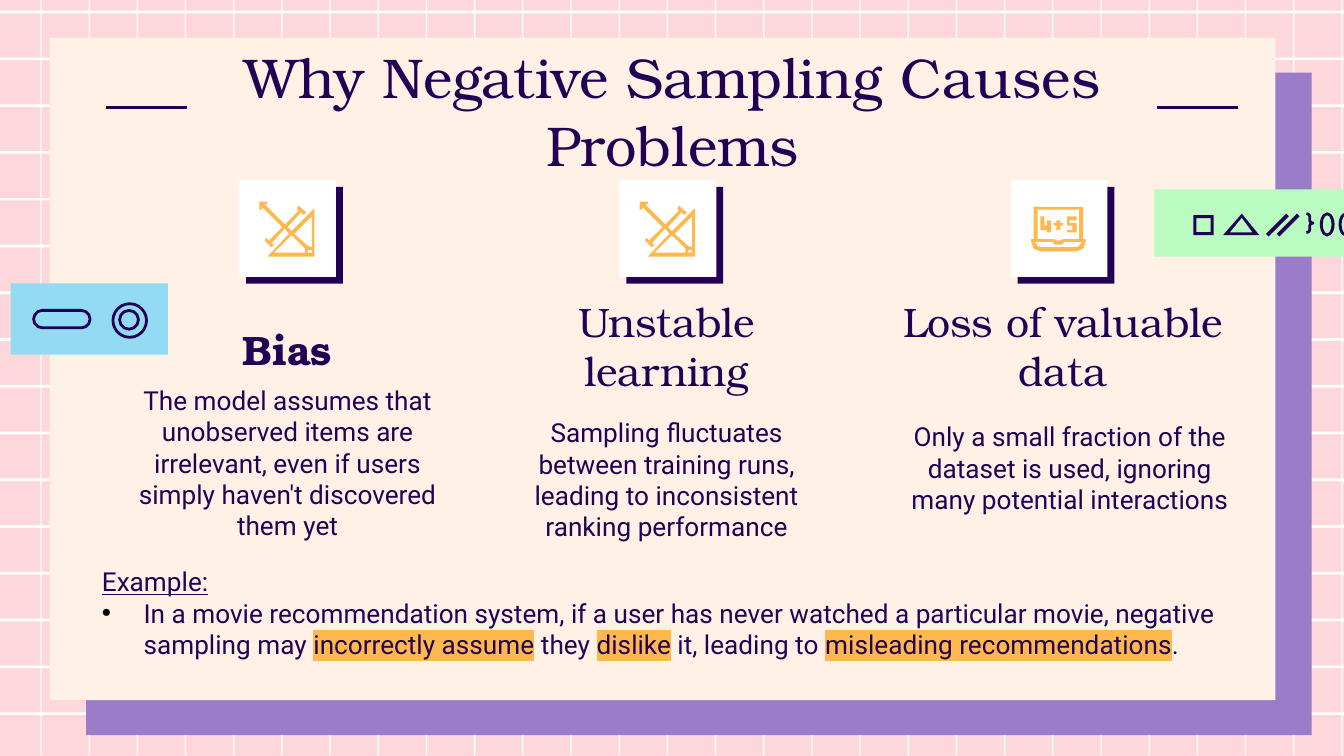
from lxml import etree
from pptx import Presentation
from pptx.dml.color import RGBColor
from pptx.enum.shapes import MSO_CONNECTOR, MSO_SHAPE as Shape
from pptx.enum.text import MSO_ANCHOR as Anchor, MSO_AUTO_SIZE as AutoSize, PP_ALIGN as Align
from pptx.oxml import parse_xml
from pptx.oxml.ns import nsdecls, qn
from pptx.util import Inches, Pt

COLORS = {
    "pink": "FDD7D9", "white": "FFFFFF", "purple": "9A7CC9", "cream": "FFF1E6",
    "ink": "220155", "green": "BAFBC2", "blue": "92DBF3", "orange": "FFB84E", "black": "000000",
}
COLORS_RGB = {name: RGBColor.from_string(value) for name, value in COLORS.items()}
SERIF, SANS = "TeX Gyre Bonum", "Roboto"

# A 16:9 page, ten inches wide
deck = Presentation()
deck.slide_width = Inches(10)
deck.slide_height = Inches(10 * 9 / 16)
page = deck.slides.add_slide(deck.slide_layouts[4])
page.background.fill.solid()
page.background.fill.fore_color.rgb = COLORS_RGB["pink"]


def draw(kind, left, top, width, height, fill=None, line=None, adjust=None):
    """Add a preset shape with a plain fill or a thin outline."""
    shape = page.shapes.add_shape(kind, Inches(left), Inches(top), Inches(width), Inches(height))
    shape.shadow.inherit = False
    if fill:
        shape.fill.solid()
        shape.fill.fore_color.rgb = COLORS_RGB[fill]
    else:
        shape.fill.background()
    if line:
        shape.line.color.rgb = COLORS_RGB[line]
        shape.line.width = Pt(1.5)
    else:
        shape.line.fill.background()
    if adjust is not None:
        shape.adjustments[0] = adjust
    return shape


def outline(left, top, contours, fill):
    """Fill closed contours given in hundredths of an inch."""
    builder = page.shapes.build_freeform(*contours[0][0], scale=Inches(0.01))
    for number, points in enumerate(contours):
        if number:
            builder.move_to(*points[0])
        builder.add_line_segments(points[1:], close=True)
    shape = builder.convert_to_shape(Inches(left), Inches(top))
    shape.shadow.inherit = False
    shape.fill.solid()
    shape.fill.fore_color.rgb = COLORS_RGB[fill]
    shape.line.fill.background()


# Grid paper
for row in range(16):
    draw(Shape.RECTANGLE, -0.12, 0.08 + row * 5.22 / 15, 10.24, 0.02, "white")
for column in range(28):
    draw(Shape.RECTANGLE, 0.3 + column * 9.68 / 27, 0, 0.01, 5.62, "white")

# Panel and its offset backing
draw(Shape.RECTANGLE, 0.64, 0.54, 9.12, 4.93, "purple")
draw(Shape.RECTANGLE, 0.37, 0.28, 9.12, 4.93, "cream")

# Rules beside the title
for left in (0.79, 8.61):
    rule = page.shapes.add_connector(
        MSO_CONNECTOR.STRAIGHT, Inches(left), Inches(0.8), Inches(left + 0.6), Inches(0.8))
    rule.line.color.rgb = COLORS_RGB["ink"]
    rule.line.width = Pt(1.5)
    etree.SubElement(rule.element.spPr, qn("a:effectLst"))

# Title, headings and descriptions: placeholder index (None for a text box), place, look
texts = [
    (0, (0.79, 0.22, 8.43, 1.13), "Why Negative Sampling Causes Problems", SERIF, 30, False, Anchor.TOP),
    (1, (0.83, 2.25, 2.62, 0.63), "Bias", SERIF, 22, True, Anchor.BOTTOM),
    (3, (6.6, 2.13, 2.62, 0.91), "Loss of valuable data", SERIF, 22, False, Anchor.BOTTOM),
    (2, (0.83, 2.76, 2.62, 1.32),
     "The model assumes that unobserved items are irrelevant, even if users simply haven't discovered them yet",
     SANS, 14, False, Anchor.TOP),
    (4, (6.65, 3.03, 2.62, 0.78),
     "Only a small fraction of the dataset is used, ignoring many potential interactions",
     SANS, 14, False, Anchor.TOP),
    (None, (3.65, 2.13, 2.62, 0.91), "Unstable learning", SERIF, 22, False, Anchor.BOTTOM),
    (None, (3.65, 3, 2.62, 1.08),
     "Sampling fluctuates between training runs, leading to inconsistent ranking performance",
     SANS, 14, False, Anchor.TOP),
]
holders = {holder.placeholder_format.idx: holder for holder in page.placeholders}
for index, place, words, font, size, bold, anchor in texts:
    left, top, width, height = map(Inches, place)
    if index is None:
        box = page.shapes.add_textbox(left, top, width, height)
    else:
        box = holders[index]
        box.left, box.top, box.width, box.height = left, top, width, height
        box.element.getparent().append(box.element)  # bring in front of the panel
    frame = box.text_frame
    frame.word_wrap = True
    frame.auto_size = AutoSize.NONE
    frame.vertical_anchor = anchor
    frame.margin_left = frame.margin_right = frame.margin_top = frame.margin_bottom = Inches(0.1)
    para = frame.paragraphs[0]
    props = para._p.get_or_add_pPr()
    props.set("marL", "0")
    props.set("indent", "0")
    etree.SubElement(props, qn("a:buNone"))
    para.alignment = Align.CENTER
    para.space_before = Pt(0)
    span = para.add_run()
    span.text = words
    span.font.name, span.font.size, span.font.bold = font, Pt(size), bold
    span.font.color.rgb = COLORS_RGB["ink"]

# Icons: each is a list of pieces, each piece a list of contours
set_square = [[
    [(0, 0), (0, 6), (2, 6), (2, 4), (17, 19), (7, 29), (5, 27), (4, 29), (9, 34), (11, 32),
     (9, 31), (19, 20), (22, 24), (6, 41), (41, 41), (41, 5), (24, 22), (21, 19), (31, 8),
     (33, 10), (35, 8), (29, 3), (28, 5), (29, 7), (19, 17), (4, 2), (6, 2), (6, 0)],
    [(39, 11), (39, 34), (36, 33), (26, 24)],
    [(24, 25), (34, 35), (34, 38), (11, 38)],
    [(39, 36), (39, 38), (36, 38), (36, 36)],
]]
laptop = [
    [[(7, 7), (7, 17), (12, 17), (12, 19), (15, 19), (15, 10), (12, 10), (12, 14), (10, 14), (10, 7)]],
    [[(19, 10), (19, 12), (17, 12), (17, 14), (19, 14), (19, 17),
      (22, 17), (22, 14), (24, 14), (24, 12), (22, 12), (22, 10)]],
    [[(27, 7), (27, 14), (31, 14), (31, 17), (27, 17), (27, 19),
      (34, 19), (34, 12), (29, 12), (29, 10), (34, 10), (34, 7)]],
    [[(2, 0), (2, 24), (0, 24), (0, 25), (2, 31), (7, 33), (34, 33), (39, 31), (41, 25),
      (41, 24), (39, 24), (39, 0)],
     [(36, 2), (36, 24), (24, 24), (22, 25), (19, 25), (17, 24), (5, 24), (5, 2)],
     [(38, 26), (36, 29), (34, 30), (7, 30), (5, 29), (3, 26), (16, 26), (18, 28), (23, 28), (25, 26)]],
]
for left, icon, drop in ((1.78, set_square, 0.16), (4.61, set_square, 0.16), (7.52, laptop, 0.2)):
    tile = draw(Shape.RECTANGLE, left, 1.34, 0.72, 0.72, "white")
    effects = tile.element.spPr.find(qn("a:effectLst"))
    effects.append(parse_xml(
        f'<a:outerShdw {nsdecls("a")} blurRad="0" dist="{Pt(5.2)}" dir="2640000" algn="bl" '
        f'rotWithShape="0"><a:srgbClr val="{COLORS["ink"]}"/></a:outerShdw>'))
    for piece in icon:
        outline(left + 0.15, 1.34 + drop, piece, "orange")

# Green tag with symbols
draw(Shape.RECTANGLE, 8.59, 1.41, 1.74, 0.5, "green")
draw(Shape.FRAME, 8.88, 1.6, 0.15, 0.15, "ink", adjust=0.15)
outline(9.1, 1.59, [[(14, 0), (0, 16), (27, 16)], [(14, 3), (22, 14), (5, 14)]], "ink")
for left in (9.42, 9.5):
    outline(left, 1.59, [[(15, 0), (0, 15), (2, 17), (17, 2)]], "ink")
draw(Shape.RIGHT_BRACE, 9.72, 1.59, 0.05, 0.14, line="ink", adjust=0.4)
for left in (9.82, 9.96):
    draw(Shape.DONUT, left, 1.58, 0.11, 0.18, "ink", adjust=0.2)

# Blue tag with a pill and rings
draw(Shape.RECTANGLE, 0.08, 2.11, 1.17, 0.53, "blue")
draw(Shape.OVAL, 0.84, 2.26, 0.25, 0.25, line="ink")
draw(Shape.OVAL, 0.89, 2.31, 0.14, 0.14, "blue", "ink")
draw(Shape.ROUNDED_RECTANGLE, 0.25, 2.31, 0.42, 0.13, line="ink", adjust=0.5)

# Example with highlighted phrases
box = page.shapes.add_textbox(Inches(0.66), Inches(4.16), Inches(8.61), Inches(0.81))
frame = box.text_frame
frame.word_wrap = True
frame.auto_size = AutoSize.SHAPE_TO_FIT_TEXT
bullet = frame.add_paragraph()
props = bullet._p.get_or_add_pPr()
props.set("marL", str(Inches(0.31)))
props.set("indent", str(Inches(-0.31)))
color = etree.SubElement(props, qn("a:buClr"))
etree.SubElement(color, qn("a:srgbClr"), val=COLORS["black"])
etree.SubElement(props, qn("a:buFont"), typeface="Arial")
etree.SubElement(props, qn("a:buChar"), char="•")
spans = [
    (frame.paragraphs[0], "Example:", False),
    (bullet, "In a movie recommendation system, if a user has never watched a particular movie, "
             "negative sampling may ", False),
    (bullet, "incorrectly assume", True),
    (bullet, " they ", False),
    (bullet, "dislike", True),
    (bullet, " it, leading to ", False),
    (bullet, "misleading recommendations", True),
    (bullet, ".", False),
]
for para, words, marked in spans:
    span = para.add_run()
    span.text = words
    span.font.name, span.font.size = SANS, Pt(14)
    span.font.color.rgb = COLORS_RGB["ink"]
    span.font.underline = para is not bullet
    if marked:
        highlight = parse_xml(f'<a:highlight {nsdecls("a")}><a:srgbClr val="{COLORS["orange"]}"/></a:highlight>')
        span._r.rPr.find(qn("a:solidFill")).addnext(highlight)

deck.save("out.pptx")
